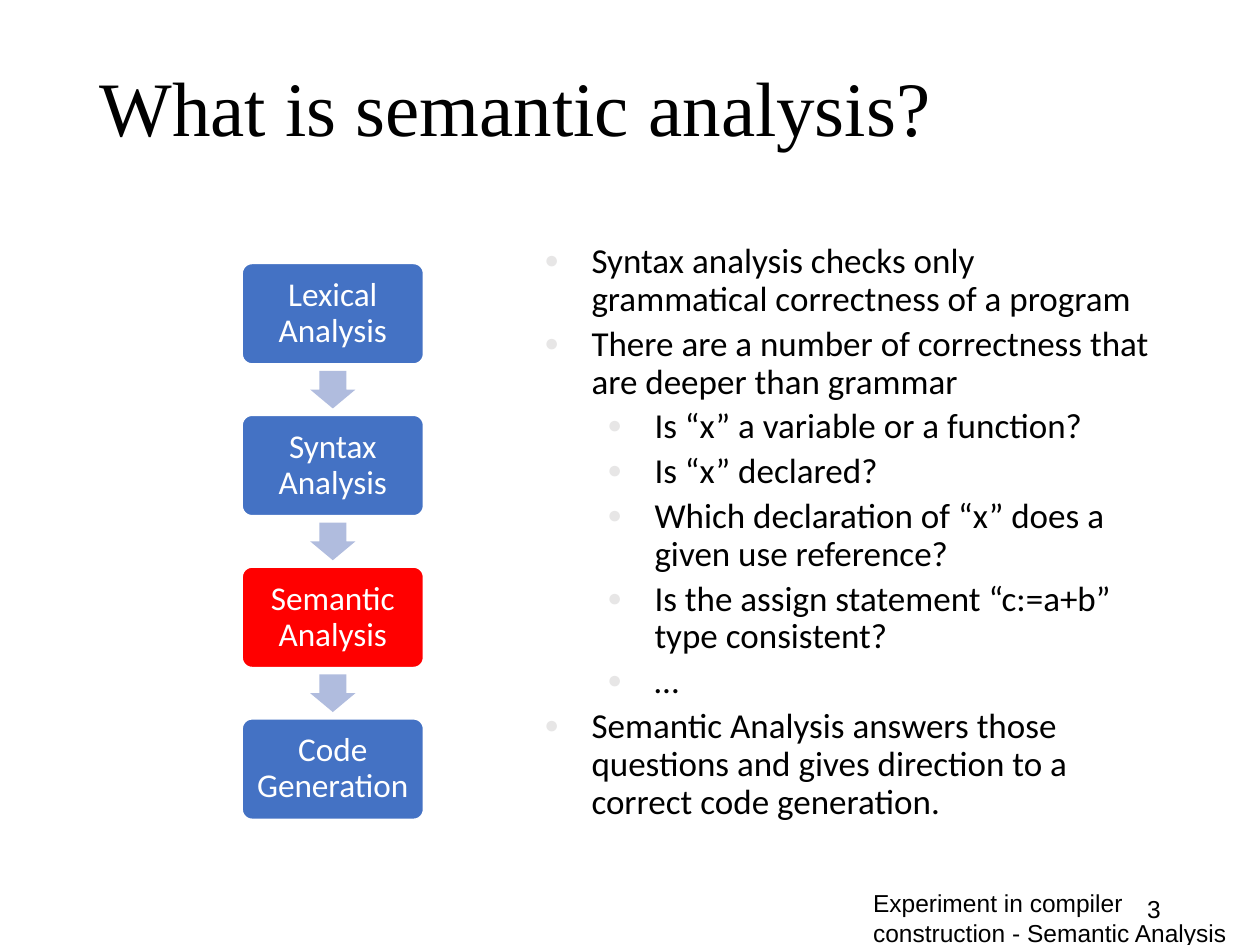
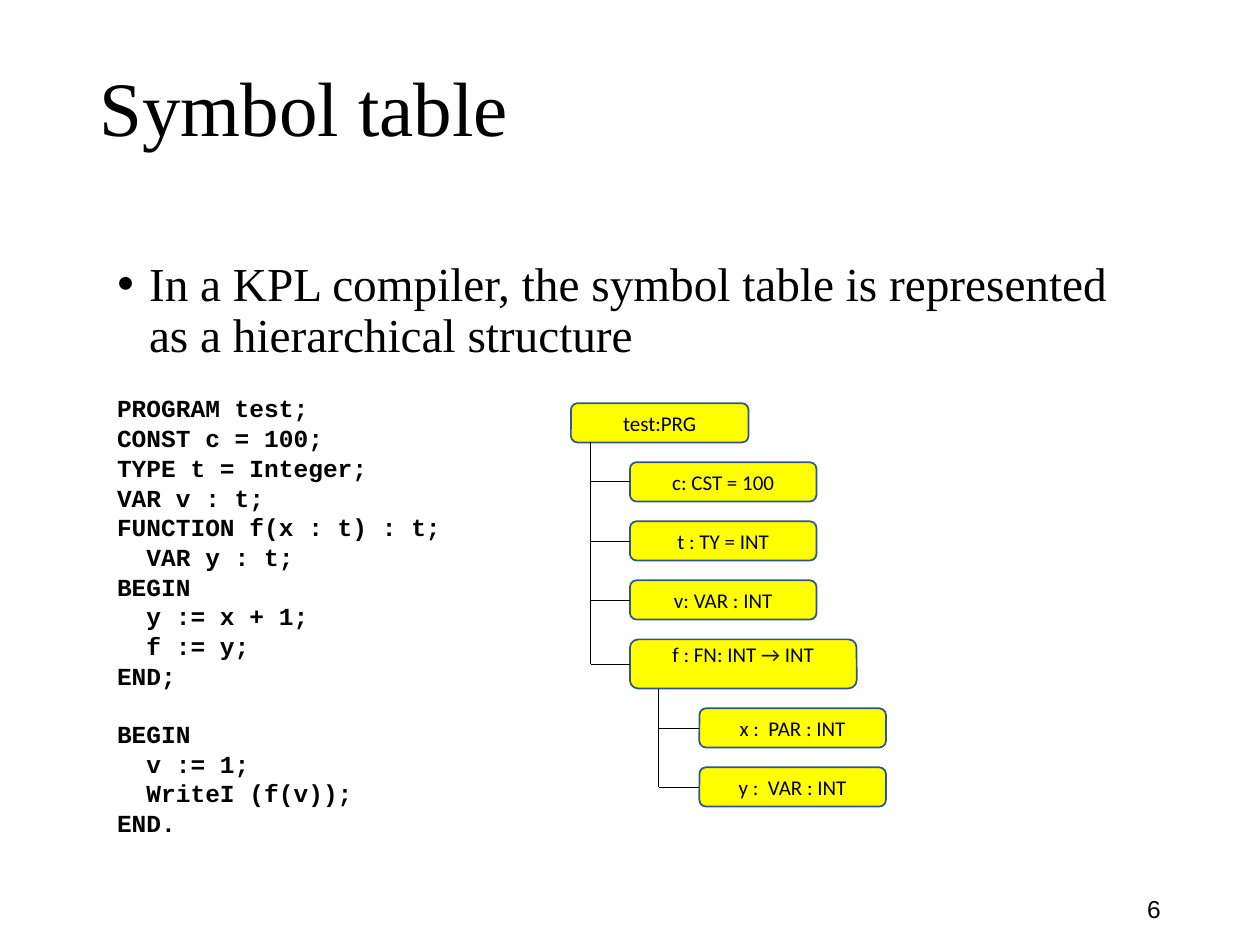
from dataclasses import dataclass

from lxml.etree import SubElement
from pptx import Presentation
from pptx.dml.color import RGBColor
from pptx.enum.shapes import MSO_CONNECTOR, MSO_SHAPE
from pptx.enum.text import MSO_ANCHOR as Anchor, MSO_AUTO_SIZE, PP_ALIGN as Align
from pptx.oxml.ns import qn
from pptx.util import Cm, Pt


@dataclass(frozen=True)
class Theme:
    ink: str = "000000"
    white: str = "FFFFFF"
    step: str = "4472C4"
    current_step: str = "FF0000"
    arrow: str = "B0BCDE"
    symbol: str = "FFFF00"
    symbol_line: str = "325491"
    pale_bullet: str = "E7E6E6"
    # Type styles: font, size, colour
    title: tuple = ("Times New Roman", 44, ink)
    statement: tuple = ("Times New Roman", 27, ink)
    points: tuple = ("Calibri", 20, ink)
    step_label: tuple = ("Calibri", 19, white)
    symbol_label: tuple = ("Calibri", 12, ink)
    code: tuple = ("Courier New", 14, ink)
    footer: tuple = ("Arial", 14, ink)


theme = Theme()


def write(shape, lines, style, align=Align.LEFT, anchor=Anchor.TOP,
          spacing=1.0, before=0, bullet=None, indent=0):
    """Fill a shape with (level, text) lines; bullet is (sign, colour, percent)."""
    frame = shape.text_frame
    frame.word_wrap = True
    frame.auto_size = MSO_AUTO_SIZE.NONE
    frame.vertical_anchor = anchor
    font, size, color = style
    for index, (level, text) in enumerate(lines):
        para = frame.paragraphs[0] if index == 0 else frame.add_paragraph()
        para.text = text
        para.level = level
        para.alignment = align
        para.line_spacing = spacing
        para.space_before = Pt(before)
        if bullet:
            sign, bullet_color, percent = bullet
            props = para._p.get_or_add_pPr()
            props.set("marL", str(Cm(indent + 1.27 * level)))
            props.set("indent", str(-Cm(indent)))
            SubElement(SubElement(props, qn("a:buClr")), qn("a:srgbClr"), val=bullet_color)
            SubElement(props, qn("a:buSzPct"), val=str(percent * 1000))
            SubElement(props, qn("a:buFont"), typeface="Arial")
            SubElement(props, qn("a:buChar"), char=sign)
        para.font.name = font
        para.font.size = Pt(size)
        para.font.color.rgb = RGBColor.from_string(color)


def draw(page, kind, left, top, width, height, fill, line=None):
    """Add a flat preset shape; lengths in centimetres."""
    shape = page.shapes.add_shape(kind, Cm(left), Cm(top), Cm(width), Cm(height))
    shape.shadow.inherit = False
    shape.fill.solid()
    shape.fill.fore_color.rgb = RGBColor.from_string(fill)
    if line:
        shape.line.color.rgb = RGBColor.from_string(line)
        shape.line.width = Pt(1)
    else:
        shape.line.fill.background()
    return shape


deck = Presentation()
deck.slide_width, deck.slide_height = Cm(25.4), Cm(19.05)

# Shared frame: title, body position and page number
pages = []
for heading, number, body_area in (
    ("What is semantic analysis?", "3", (10.72, 4.78, 12.78, 11.23)),
    ("Symbol table", "6", (2.11, 5.13, 21.39, 11.23)),
):
    page = deck.slides.add_slide(deck.slide_layouts[1])
    title, body = page.placeholders
    title.left, title.top, title.width, title.height = map(Cm, (1.75, 0.41, 21.9, 3.68))
    write(title, [(0, heading)], theme.title, anchor=Anchor.MIDDLE, spacing=0.9)
    body.left, body.top, body.width, body.height = map(Cm, body_area)
    number_box = page.shapes.add_textbox(Cm(20.47), Cm(17.81), Cm(3.18), Cm(1.02))
    write(number_box, [(0, number)], theme.footer, Align.RIGHT, Anchor.MIDDLE)
    pages.append((page, body))
(analysis_page, analysis_body), (symbol_page, symbol_body) = pages

# Analysis page: questions
points = [
    (0, "Syntax analysis checks only grammatical correctness of a program"),
    (0, "There are a number of correctness that are deeper than grammar"),
    (1, "Is “x” a variable or a function?"),
    (1, "Is “x” declared?"),
    (1, "Which declaration of “x” does a given use reference?"),
    (1, "Is the assign statement “c:=a+b” type consistent?"),
    (1, "…"),
    (0, "Semantic Analysis answers those questions and gives direction "
        "to a correct code generation."),
]
write(analysis_body, points, theme.points, spacing=0.9, before=4,
      bullet=("●", theme.pale_bullet, 70), indent=0.95)

# Analysis page: compiler phases joined by block arrows
steps = ["Lexical Analysis", "Syntax Analysis", "Semantic Analysis", "Code Generation"]
step_left, step_top, step_width, step_height, step_pitch = 4.88, 5.31, 3.66, 2.03, 3.06
arrow_width, arrow_height = 0.91, 0.76
for index, label in enumerate(steps):
    top = step_top + index * step_pitch
    fill = theme.current_step if label == "Semantic Analysis" else theme.step
    box = draw(analysis_page, MSO_SHAPE.ROUNDED_RECTANGLE,
               step_left, top, step_width, step_height, fill, theme.white)
    box.adjustments[0] = 0.1
    box.text_frame.margin_left = box.text_frame.margin_right = Cm(0.2)
    write(box, [(0, label)], theme.step_label, Align.CENTER, Anchor.MIDDLE, spacing=0.9)
    if index < len(steps) - 1:
        arrow = draw(analysis_page, MSO_SHAPE.DOWN_ARROW,
                     step_left + (step_width - arrow_width) / 2,
                     top + (step_height + step_pitch - arrow_height) / 2,
                     arrow_width, arrow_height, theme.arrow)
        arrow.adjustments[0], arrow.adjustments[1] = 0.6, 0.5

# Analysis page: footer
footer = analysis_page.shapes.add_textbox(Cm(17.35), Cm(17.78), Cm(8.05), Cm(1.27))
write(footer, [(0, "Experiment in compiler construction - Semantic Analysis")], theme.footer)

# Symbol page: statement
write(symbol_body,
      [(0, "In a KPL compiler, the symbol table is represented as a hierarchical structure")],
      theme.statement, spacing=0.9, before=10, bullet=("•", theme.ink, 100), indent=0.64)

# Symbol page: program listing, with a gap before the main block
code = """PROGRAM test;
CONST c = 100;
TYPE t = Integer;
VAR v : t;
FUNCTION f(x : t) : t;
  VAR y : t;
BEGIN
  y := x + 1;
  f := y;
END;
BEGIN
  v := 1;
  WriteI (f(v));
END."""
listing = symbol_page.shapes.add_textbox(Cm(2.11), Cm(7.92), Cm(10.41), Cm(9.63))
write(listing, [(0, line) for line in code.splitlines()], theme.code, spacing=0.8, before=3.55)
for para in listing.text_frame.paragraphs:
    para.font.bold = True
listing.text_frame.paragraphs[10].space_before = Pt(19.8)

# Symbol page: tree boxes as (label, parent, left, width, height)
symbols = [
    ("test:PRG", None, 11.51, 3.58, 0.79),
    ("c: CST = 100", 0, 12.7, 3.76, 0.79),
    ("t : TY = INT", 0, 12.7, 3.76, 0.79),
    ("v: VAR : INT", 0, 12.7, 3.76, 0.79),
    ("f : FN: INT → INT", 0, 12.7, 4.57, 0.99),
    ("x :  PAR : INT", 4, 14.1, 3.76, 0.79),
    ("y :  VAR : INT", 4, 14.1, 3.76, 0.79),
]
tree_top, tree_gap = 8.13, 0.4
boxes = []
for label, parent, left, width, height in symbols:
    box = draw(symbol_page, MSO_SHAPE.ROUNDED_RECTANGLE, left, tree_top, width, height,
               theme.symbol, theme.symbol_line)
    box.text_frame.margin_top = box.text_frame.margin_bottom = 0
    anchor = Anchor.TOP if label.startswith("f") else Anchor.MIDDLE
    write(box, [(0, label)], theme.symbol_label, Align.CENTER, anchor)
    boxes.append(box)
    tree_top += height + tree_gap

# Symbol page: a trunk under each parent, a branch to each child
for parent, trunk_offset in ((0, 0.4), (4, 0.58)):
    children = [box for box, symbol in zip(boxes, symbols) if symbol[1] == parent]
    trunk_x = boxes[parent].left + Cm(trunk_offset)
    trunk_top = boxes[parent].top + boxes[parent].height
    trunk_bottom = children[-1].top + children[-1].height // 2
    lines = [symbol_page.shapes.add_connector(
        MSO_CONNECTOR.STRAIGHT, trunk_x, trunk_top, trunk_x, trunk_bottom)]
    for child in children:
        middle = child.top + child.height // 2
        branch = symbol_page.shapes.add_connector(
            MSO_CONNECTOR.STRAIGHT, trunk_x, middle, child.left, middle)
        branch.end_connect(child, 1)
        lines.append(branch)
    for line in lines:
        line.line.color.rgb = RGBColor.from_string(theme.ink)
        line.line.width = Pt(0.5)
        SubElement(line._element.spPr, qn("a:effectLst"))

deck.save("out.pptx")
